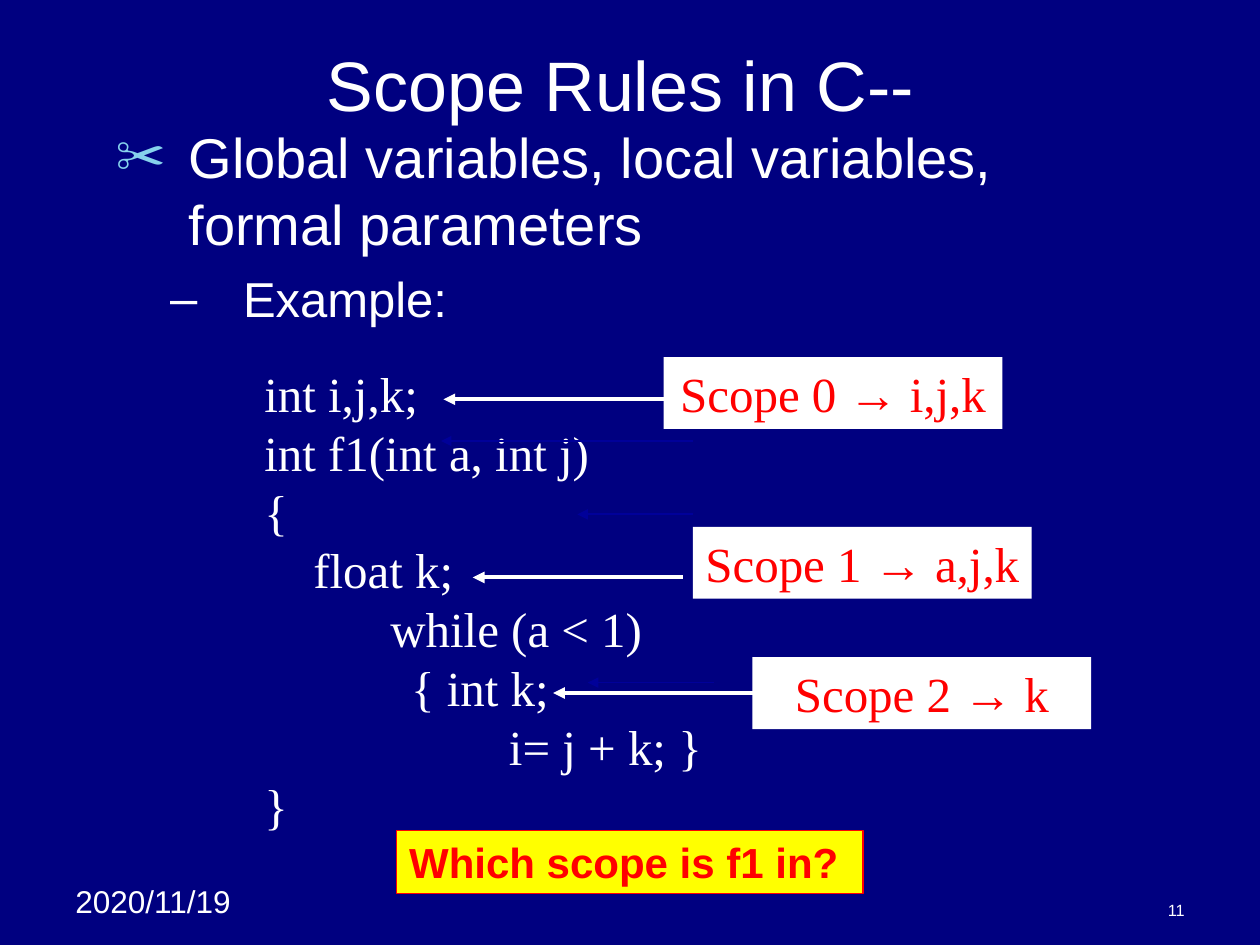
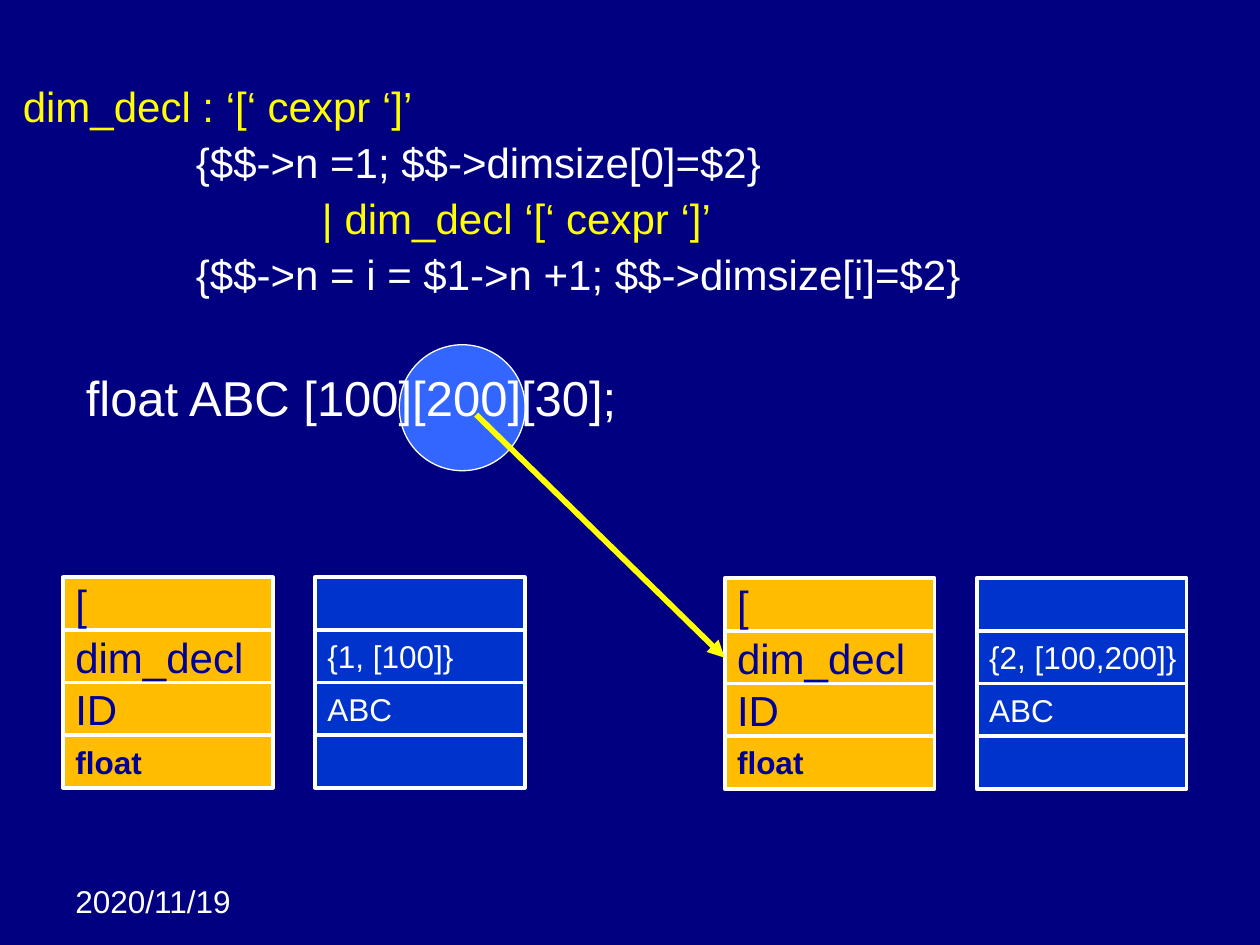
import pptx
import pptx.util
import pptx.dml.color
import pptx.enum.shapes
import pptx.enum.text
import pptx.oxml
from lxml import etree
from pptx.oxml.ns import qn

Cm, Pt = pptx.util.Cm, pptx.util.Pt
SHAPES = pptx.enum.shapes.MSO_SHAPE
ALIGN = pptx.enum.text.PP_ALIGN
ANCHOR = pptx.enum.text.MSO_ANCHOR

# Shared look
NAVY, WHITE, YELLOW, RED = "000080", "FFFFFF", "FFFF00", "FF0000"
DARK_BLUE, AMBER, BLUE, SKY = "000099", "FFBC01", "0033CC", "86D1EC"
SANS, SERIF = "Arial", "Times New Roman"
LINE_HEIGHT = 1.2
DATE = "2020/11/19"


def rgb(hex_string):
    return pptx.dml.color.RGBColor.from_string(hex_string)


def apply(target, values):
    for name, value in values.items():
        setattr(target, name, value)


def place(part, box):
    sides = ("left", "top", "width", "height")
    apply(part, {side: Cm(value) for side, value in zip(sides, box)})


# Text
def write_paragraph(paragraph, runs, size=24, font=SANS, color=WHITE, bold=False,
                    tightness=1, before=0, align=ALIGN.LEFT):
    """Fill a paragraph from a string or from (text, overrides) pairs."""
    apply(paragraph, {
        "alignment": align,
        "line_spacing": Pt(round(size * LINE_HEIGHT * tightness, 1)),
        "space_before": Pt(before),
        "space_after": Pt(0),
    })
    for text, changes in [(runs, {})] if isinstance(runs, str) else runs:
        run = paragraph.add_run()
        run.text = text
        apply(run.font, {"name": changes.get("font", font), "size": Pt(size), "bold": bold})
        run.font.color.rgb = rgb(changes.get("color", color))


def prepare_frame(frame, anchor=ANCHOR.TOP, right=0.25):
    apply(frame, {
        "word_wrap": True,
        "auto_size": pptx.enum.text.MSO_AUTO_SIZE.NONE,
        "vertical_anchor": anchor,
        "margin_left": Cm(0.25),
        "margin_right": Cm(right),
        "margin_top": Cm(0.13),
        "margin_bottom": Cm(0.13),
    })


def write_lines(frame, lines, **style):
    """Write (runs, overrides) pairs and return their paragraphs."""
    for index, (runs, changes) in enumerate(lines):
        paragraph = frame.add_paragraph() if index else frame.paragraphs[0]
        write_paragraph(paragraph, runs, **{**style, **changes})
    return frame.paragraphs


def set_indent(paragraph, margin, hanging=0):
    properties = paragraph._p.get_or_add_pPr()
    properties.set("marL", str(Cm(margin)))
    properties.set("indent", str(-Cm(hanging)))
    return properties


def set_bullet(paragraph, mark, color, percent, margin, hanging):
    properties = set_indent(paragraph, margin, hanging)
    bullet = pptx.oxml.parse_xml(
        f'<a:pPr xmlns:a="{properties.nsmap["a"]}">'
        f'<a:buClr><a:srgbClr val="{color}"/></a:buClr>'
        f'<a:buSzPct val="{percent * 1000}"/><a:buFont typeface="{SANS}"/>'
        f'<a:buChar char="{mark}"/></a:pPr>')
    properties.extend(list(bullet))


def add_text(slide, box, lines, anchor=ANCHOR.TOP, **style):
    text = slide.shapes.add_textbox(*map(Cm, box))
    prepare_frame(text.text_frame, anchor)
    return write_lines(text.text_frame, lines, **style)


def use_placeholder(placeholder, box, anchor=ANCHOR.TOP):
    place(placeholder, box)
    prepare_frame(placeholder.text_frame, anchor)
    return placeholder.text_frame


# Shapes
def add_block(slide, kind, box, fill, line=None, weight=0.75):
    block = slide.shapes.add_shape(kind, *map(Cm, box))
    block.shadow.inherit = False
    block.fill.solid()
    block.fill.fore_color.rgb = rgb(fill)
    if line:
        block.line.color.rgb = rgb(line)
        block.line.width = Pt(weight)
    else:
        block.line.fill.background()
    return block


def add_label(slide, box, fill, runs, line=None, weight=0.75, right=0.25,
              anchor=ANCHOR.TOP, **style):
    label = add_block(slide, SHAPES.RECTANGLE, box, fill, line, weight)
    prepare_frame(label.text_frame, anchor, right)
    if runs:
        write_paragraph(label.text_frame.paragraphs[0], runs, **style)


def add_arrow(slide, start, end, color, weight):
    arrow = slide.shapes.add_connector(
        pptx.enum.shapes.MSO_CONNECTOR.STRAIGHT, *map(Cm, start + end))
    arrow.line.color.rgb = rgb(color)
    arrow.line.width = Pt(weight)
    etree.SubElement(arrow.line._get_or_add_ln(), qn("a:tailEnd"), type="triangle")
    etree.SubElement(arrow._element.spPr, qn("a:effectLst"))


def add_slide(deck):
    slide = deck.slides.add_slide(deck.slide_layouts[1])
    add_text(slide, (1.27, 17.65, 4.01, 1.02), [(DATE, {})], size=18)
    return slide


# Scope rules slide
def add_code(slide, box):
    code = ["int i,j,k;", "int f1(int a, int j)", "{", "    float k;",
            "\twhile (a < 1)", "            { int k;",
            "                    i= j + k; }", "}"]
    for paragraph in add_text(slide, box, [(line, {}) for line in code],
                              size=28, font=SERIF):
        tabs = etree.SubElement(paragraph._p.get_or_add_pPr(), qn("a:tabLst"))
        etree.SubElement(tabs, qn("a:tab"), pos=str(Cm(2.54)), algn="l")


def add_scope(slide, left, top, number, names):
    runs = [(f"Scope {number} ", {}), ("→", {"font": SANS}), (f" {names}", {})]
    add_label(slide, (left, top, 6.83, 1.45), WHITE, runs,
              size=28, font=SERIF, color=RED, align=ALIGN.CENTER)


def build_scope_slide(deck):
    slide = add_slide(deck)
    title = use_placeholder(slide.shapes.title, (1.9, 0.64, 21.6, 2.1), ANCHOR.MIDDLE)
    write_lines(title, [("Scope Rules in C-- ", {})], size=40, align=ALIGN.CENTER)

    topics = use_placeholder(slide.placeholders[1], (1.9, 2.33, 21.6, 14.18))
    variables, example = write_lines(topics, [
        ("Global variables, local variables, formal parameters", {"size": 32}),
        ("Example:", {"size": 28, "before": 7})])
    example.level = 1
    set_bullet(variables, "✂", SKY, 90, 1.65, 1.47)
    set_bullet(example, "–", WHITE, 100, 2.75, 1.47)

    add_code(slide, (5.08, 7.2, 12.07, 9.75))

    # Scope labels, each with a dim and a bright arrow: (from x, to x, y)
    scopes = [
        (13.38, 7.2, "i,j,k", (13.97, 8.89, 8.89), (13.38, 8.94, 8.05)),
        (13.97, 10.62, "a,j,k", (13.97, 11.64, 10.37), (13.76, 9.53, 11.64)),
        (15.17, 13.25, "k", (14.39, 11.85, 13.76), (15.17, 11.15, 13.97)),
    ]
    for number, (left, top, names, dim, bright) in enumerate(scopes):
        add_scope(slide, left, top, number, names)
        for (start, end, y), color, weight in ((dim, DARK_BLUE, 1), (bright, WHITE, 2.25)):
            add_arrow(slide, (start, y), (end, y), color, weight)

    add_label(slide, (8, 16.74, 9.4, 1.27), YELLOW, "Which scope is f1 in?",
              line=RED, color=RED, bold=True)
    add_text(slide, (18.2, 17.98, 5.93, 0.69), [("11", {})], ANCHOR.BOTTOM,
             size=9.3, align=ALIGN.RIGHT)


# Array declaration slide
def add_stack(slide, left, top, cells, fill, **style):
    width, height = 4.23, 1.06
    for row, (text, changes) in reversed(list(enumerate(cells))):
        add_label(slide, (left, top + row * height, width, height), fill, text,
                  line=WHITE, weight=2.25, right=0, anchor=ANCHOR.MIDDLE,
                  **{**style, **changes})


def add_parse_state(slide, left, top, dimensions):
    """Symbol stack with its value stack to the right."""
    symbols = [("[", {}), ("dim_decl", {}), ("ID", {}),
               ("float", {"size": 18, "bold": True})]
    values = [(text, {}) for text in ("", dimensions, "ABC", "")]
    add_stack(slide, left, top, symbols, AMBER, color=DARK_BLUE)
    add_stack(slide, left + 5.08, top, values, BLUE, size=18)


def build_array_slide(deck):
    slide = add_slide(deck)
    title = slide.shapes.title._element
    title.getparent().remove(title)

    # Highlight lies behind the declaration text
    highlight = add_block(slide, SHAPES.OVAL, (8.05, 6.95, 2.54, 2.54), "3366FF", WHITE)
    slide.shapes._spTree.insert(2, highlight._element)

    grammar = use_placeholder(slide.placeholders[1], (0.21, 1.6, 21.6, 13.76))
    rule, action = {"color": YELLOW, "before": 6}, {"before": 6}
    lines = [
        ("dim_decl : ‘[‘ cexpr ‘]’", {"color": YELLOW}, 0),
        ("{$$->n =1; $$->dimsize[0]=$2}", action, 3.49),
        ("| dim_decl ‘[‘ cexpr ‘]’", rule, 6.03),
        ("{$$->n = i = $1->n +1; $$->dimsize[i]=$2}", action, 3.49),
        ("float ABC [100][200][30];", {"size": 28, "before": 43}, 1.27),
    ]
    paragraphs = write_lines(grammar, [line[:2] for line in lines], tightness=0.9)
    for paragraph, (_, _, margin) in zip(paragraphs, lines):
        properties = set_indent(paragraph, margin)
        properties.append(properties.makeelement(qn("a:buNone")))

    add_parse_state(slide, 1.27, 11.64, "{1, [100]}")
    add_parse_state(slide, 14.61, 11.66, "{2, [100,200]}")
    add_arrow(slide, (9.6, 8.36), (14.61, 13.26), YELLOW, 3.25)


def main():
    deck = pptx.Presentation()
    deck.slide_width, deck.slide_height = Cm(25.4), Cm(19.05)
    background = deck.slide_master.background.fill
    background.solid()
    background.fore_color.rgb = rgb(NAVY)
    build_scope_slide(deck)
    build_array_slide(deck)
    deck.save("out.pptx")


if __name__ == "__main__":
    main()
